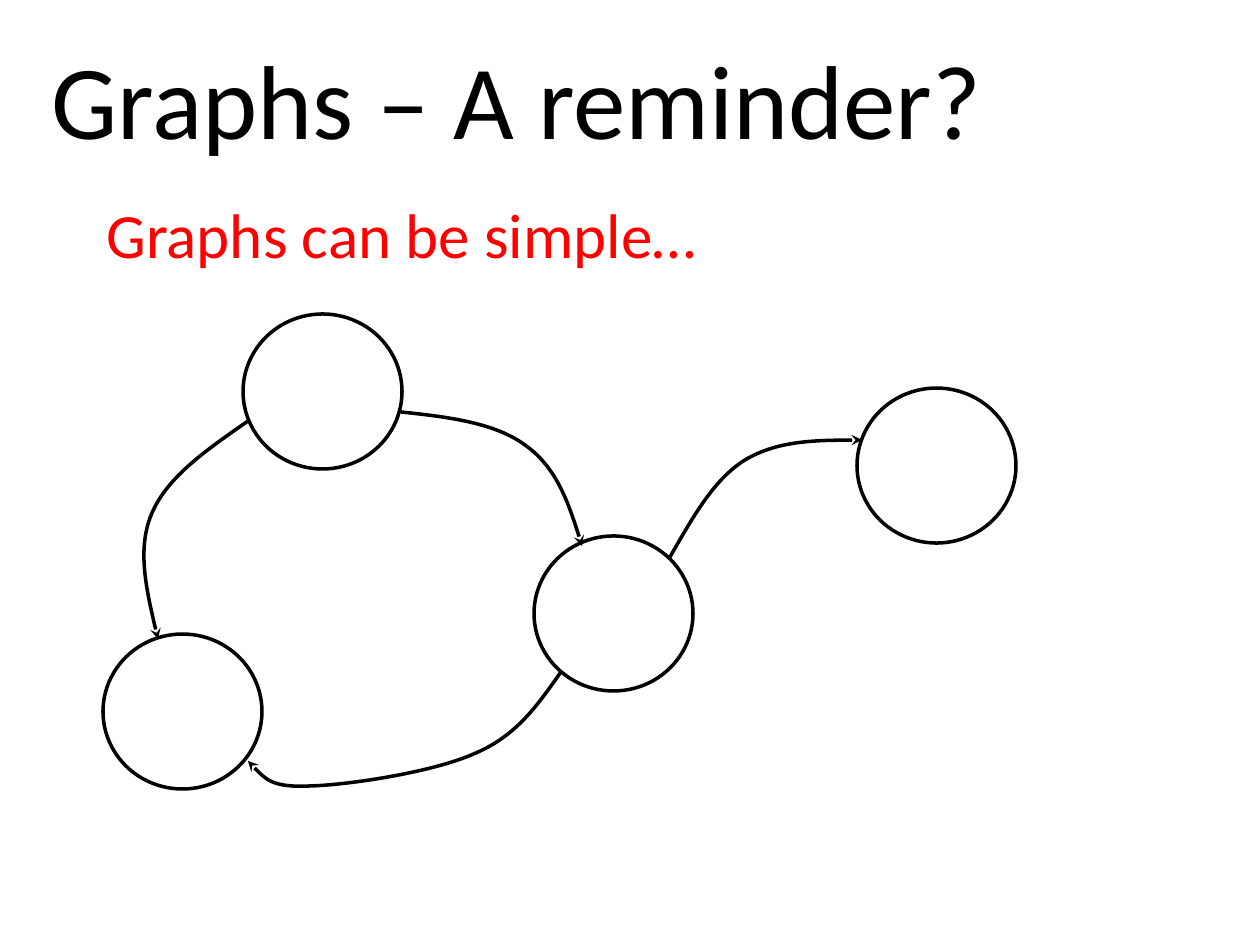
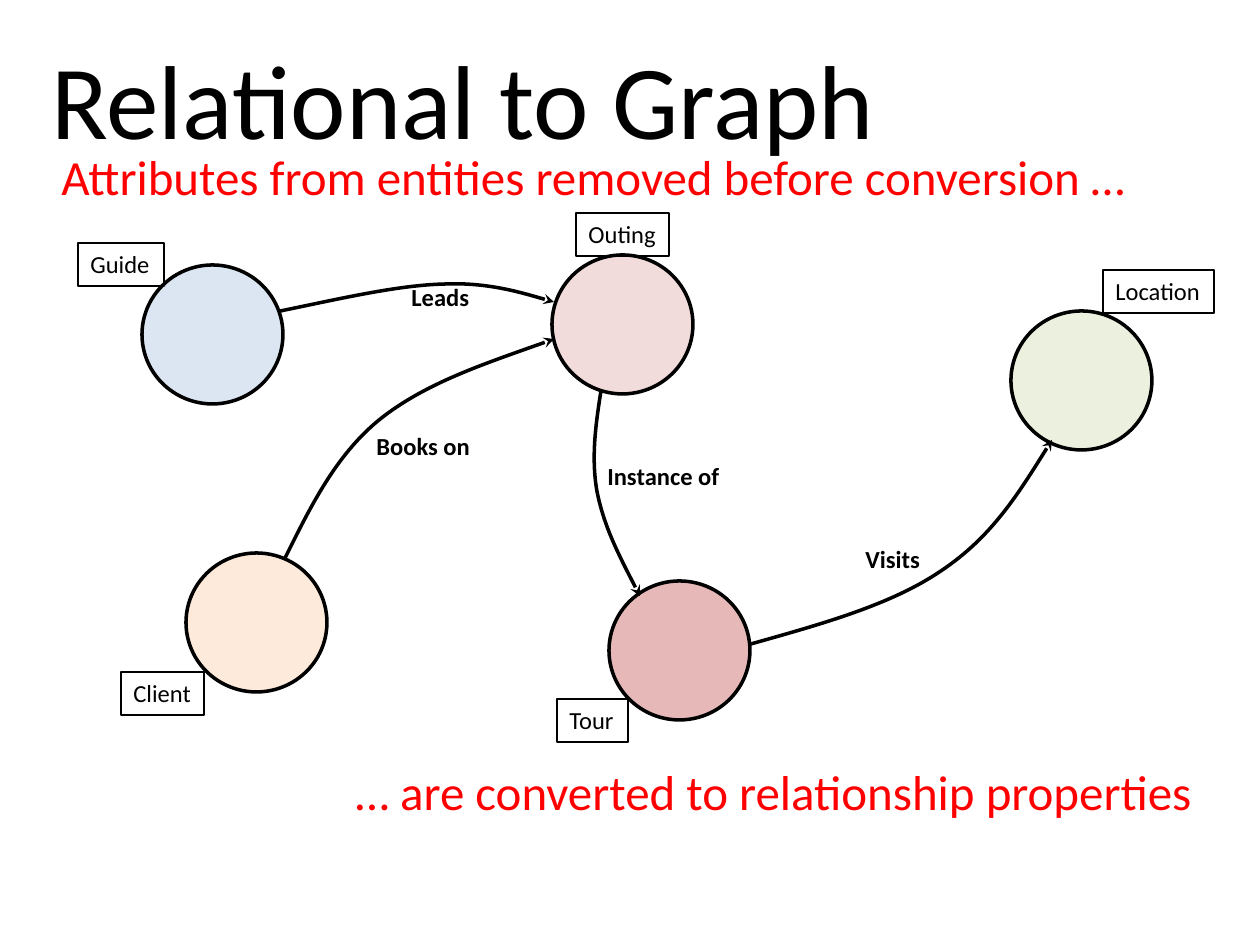
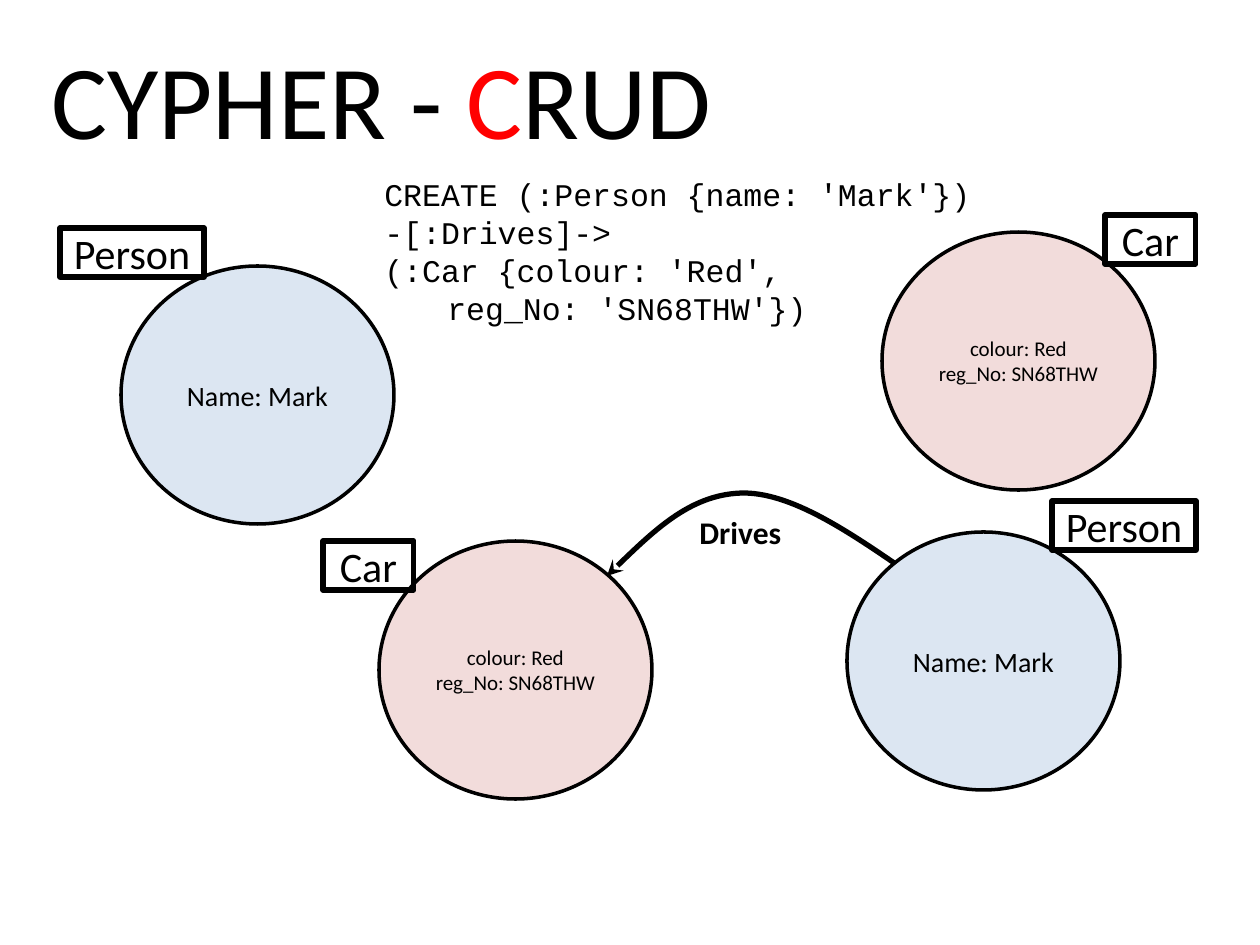
import pptx
import pptx.util
import pptx.dml.color
import pptx.enum.shapes
import pptx.enum.text
import pptx.oxml
import pptx.oxml.ns

RGBColor = pptx.dml.color.RGBColor
BLACK = RGBColor(0x00, 0x00, 0x00)
WHITE = RGBColor(0xFF, 0xFF, 0xFF)
RED = RGBColor(0xFF, 0x00, 0x00)
BLUE = RGBColor(0xDC, 0xE6, 0xF2)
PINK = RGBColor(0xF2, 0xDC, 0xDB)
ROSE = RGBColor(0xE6, 0xB9, 0xB8)
GREEN = RGBColor(0xEB, 0xF1, 0xDE)
ORANGE = RGBColor(0xFD, 0xEA, 0xDA)

PX = 914400 / 126  # EMU in one px
TITLE_ONLY = 5
TITLE_BOX = (39, 29, 1053, 137)
PRESET = pptx.enum.shapes.MSO_SHAPE
ALIGN = pptx.enum.text.PP_ALIGN
ANCHOR = pptx.enum.text.MSO_ANCHOR

# Slide 1: plain graph. An edge is a start point, then three points per curve.
SIMPLE_SIZE = (159, 155)
SIMPLE_NODES = [(243, 314), (857, 388), (534, 536), (103, 634)]
SIMPLE_EDGES = [
    [(401, 412), (449, 417), (495, 423), (525, 445),
     (556, 467), (570, 507), (582, 546)],
    [(561, 672), (539, 703), (518, 735), (476, 753), (435, 772),
     (349, 785), (311, 786), (272, 788), (261, 775), (248, 761)],
    [(248, 421), (208, 449), (168, 476), (152, 513),
     (137, 548), (147, 593), (158, 639)],
    [(670, 557), (692, 519), (713, 480), (745, 460),
     (777, 441), (819, 440), (862, 440)],
]

# Slide 2: name, colour, circle corner, tag corner, tag width
ENTITY_SIZE = (141, 139)
ENTITY_TAG_HEIGHT = 43
ENTITIES = [
    ("Guide", BLUE, (142, 265), (78, 243), 86),
    ("Outing", PINK, (552, 255), (576, 213), 93),
    ("Tour", ROSE, (609, 581), (557, 699), 71),
    ("Location", GREEN, (1011, 311), (1103, 270), 111),
    ("Client", ORANGE, (186, 553), (121, 672), 83),
]
# Name, label box, curve
RELATIONSHIPS = [
    ("Leads", (399, 276, 83, 43),
     [(280, 311), (339, 299), (398, 285), (445, 284),
      (490, 282), (554, 302), (554, 302)]),
    ("Instance of", (595, 455, 139, 43),
     [(601, 391), (596, 423), (591, 457), (597, 491),
      (604, 527), (622, 561), (640, 596)]),
    ("Visits", (853, 538, 81, 43),
     [(751, 644), (822, 624), (891, 605), (941, 571),
      (992, 537), (1022, 488), (1052, 440)]),
    ("Books on", (364, 425, 120, 43),
     [(285, 558), (310, 508), (335, 456), (379, 420),
      (425, 383), (490, 362), (554, 339)]),
]
REMARKS = [
    ("Attributes from entities removed before conversion …", (49, 140, 1103, 72)),
    ("… are converted to relationship properties", (343, 755, 872, 72)),
]

# Slide 3: label -> properties, text size, colour, tag width
RECORD_SIZE = (273, 258)
RECORD_TAG_HEIGHT = 49
KINDS = {
    "Person": ("Name: Mark", 16, BLUE, 144),
    "Car": ("colour: Red\nreg_No: SN68THW", 12, PINK, 91),
}
# Label, circle corner, tag corner
RECORDS = [
    ("Person", (121, 266), (60, 228)),
    ("Car", (882, 232), (1105, 215)),
    ("Person", (847, 532), (1052, 501)),
    ("Car", (379, 541), (323, 541)),
]
DRIVES_EDGE = [(916, 578), (855, 536), (796, 494), (745, 493),
               (693, 493), (650, 534), (607, 576)]
CREATE_CODE = ("CREATE (:Person {name: 'Mark'})\n-[:Drives]->\n"
               "(:Car {colour: 'Red',\v\treg_No: 'SN68THW'})")


def emu(box):
    return [round(length * PX) for length in box]


def write(shape, text, size, color=BLACK, bold=False, font="Calibri",
          align=ALIGN.LEFT, anchor=ANCHOR.TOP, wrap=True):
    frame = shape.text_frame
    frame.text = text
    frame.word_wrap = wrap
    frame.vertical_anchor = anchor
    for para in frame.paragraphs:
        para.alignment = align
        para.font.name = font
        para.font.size = pptx.util.Pt(size)
        para.font.bold = bold
        para.font.color.rgb = color


def add_text(page, text, box, size, **style):
    write(page.shapes.add_textbox(*emu(box)), text, size, **style)


def add_outlined(page, preset, box, width, fill=None):
    shape = page.shapes.add_shape(preset, *emu(box))
    shape.shadow.inherit = False
    if fill is None:
        shape.fill.background()
    else:
        shape.fill.solid()
        shape.fill.fore_color.rgb = fill
    shape.line.color.rgb = BLACK
    shape.line.width = pptx.util.Pt(width)
    return shape


def add_node(page, corner, size, fill):
    return add_outlined(page, PRESET.OVAL, (*corner, *size), 2, fill)


def add_edge(page, points, width=2):
    builder = page.shapes.build_freeform(*points[0], scale=PX)
    builder.add_line_segments(points[1:], close=False)
    edge = builder.convert_to_shape()
    edge.shadow.inherit = False
    edge.fill.background()
    edge.line.color.rgb = BLACK
    edge.line.width = pptx.util.Pt(width)

    # Each three straight segments become one Bézier curve
    segments = edge._element.xpath(".//a:lnTo")
    for first in range(0, len(segments), 3):
        curve = pptx.oxml.parse_xml(
            f"<a:cubicBezTo {pptx.oxml.ns.nsdecls('a')}/>")
        segments[first].addprevious(curve)
        for segment in segments[first:first + 3]:
            curve.append(segment[0])
            segment.getparent().remove(segment)

    edge.line._get_or_add_ln().append(pptx.oxml.parse_xml(
        f"<a:tailEnd {pptx.oxml.ns.nsdecls('a')} type='stealth'/>"))


def add_page(deck, title):
    page = deck.slides.add_slide(deck.slide_layouts[TITLE_ONLY])
    heading = page.shapes.title
    heading.left, heading.top, heading.width, heading.height = emu(TITLE_BOX)
    write(heading, title, 60, anchor=ANCHOR.MIDDLE)
    heading.text_frame.auto_size = pptx.enum.text.MSO_AUTO_SIZE.NONE
    return page


def build_reminder(deck):
    page = add_page(deck, "Graphs – A reminder?")
    add_text(page, "Graphs can be simple…", (94, 189, 1074, 103), 36, color=RED)
    for corner in SIMPLE_NODES:
        add_node(page, corner, SIMPLE_SIZE, WHITE)
    for points in SIMPLE_EDGES:
        add_edge(page, points)


def build_conversion(deck):
    page = add_page(deck, "Relational to Graph")
    for text, box in REMARKS:
        add_text(page, text, box, 28, color=RED, wrap=False)
    for name, fill, corner, tag_corner, tag_width in ENTITIES:
        add_node(page, corner, ENTITY_SIZE, fill)
        tag_box = (*tag_corner, tag_width, ENTITY_TAG_HEIGHT)
        tag = add_outlined(page, PRESET.RECTANGLE, tag_box, 1.5)
        write(tag, name, 14, wrap=False)
    for name, box, points in RELATIONSHIPS:
        add_edge(page, points)
        add_text(page, name, box, 14, bold=True, wrap=False)


def build_create(deck):
    page = add_page(deck, "CYPHER - ")
    title_para = page.shapes.title.text_frame.paragraphs[0]
    for letters, color in (("C", RED), ("RUD", BLACK)):
        span = title_para.add_run()
        span.text = letters
        span.font.color.rgb = color

    # The edge starts underneath its node
    add_edge(page, DRIVES_EDGE, 3)
    add_text(page, "Drives", (687, 507, 108, 50), 18, bold=True, wrap=False)
    add_text(page, CREATE_CODE, (372, 169, 630, 165), 18, font="Courier New")

    centred = {"align": ALIGN.CENTER, "anchor": ANCHOR.MIDDLE}
    for label, corner, tag_corner in RECORDS:
        properties, size, fill, tag_width = KINDS[label]
        write(add_node(page, corner, RECORD_SIZE, fill), properties, size, **centred)
        tag_box = (*tag_corner, tag_width, RECORD_TAG_HEIGHT)
        tag = add_outlined(page, PRESET.RECTANGLE, tag_box, 3)
        write(tag, label, 24, **centred)


def main():
    deck = pptx.Presentation()
    deck.slide_width = pptx.util.Inches(10)
    deck.slide_height = pptx.util.Inches(7.5)
    build_reminder(deck)
    build_conversion(deck)
    build_create(deck)
    deck.save("out.pptx")


if __name__ == "__main__":
    main()
